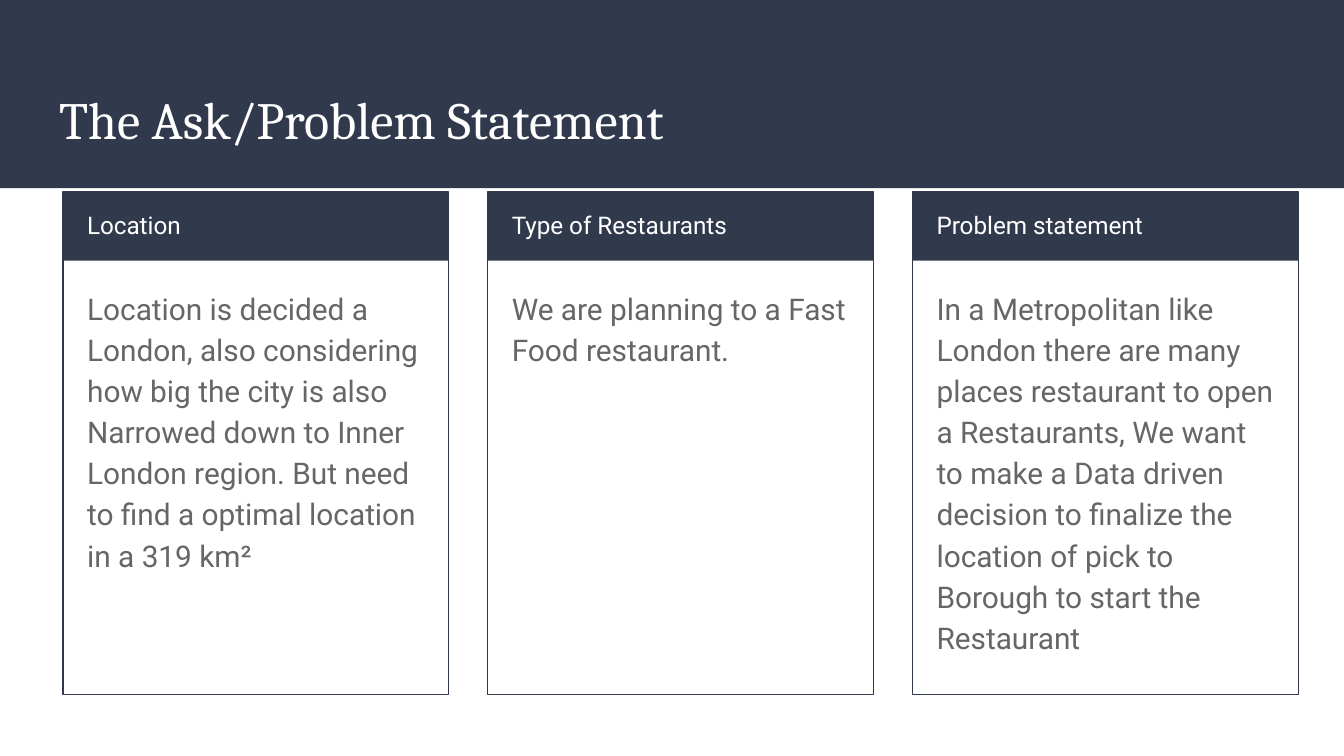
from pptx import Presentation
from pptx.dml.color import RGBColor
from pptx.enum import shapes, text
from pptx.util import Inches, Pt

NAVY = RGBColor(0x31, 0x39, 0x4D)
GREY = RGBColor(0x66, 0x66, 0x66)
WHITE = RGBColor(0xFF, 0xFF, 0xFF)

CARD_LEFT, CARD_TOP, CARD_STEP = 0.47, 1.43, 3.16
CARD_W, CARD_H, HEADER_H = 2.87, 3.74, 0.51

CARDS = [
    ("Location",
     "Location is decided a London, also considering how big the city is also "
     "Narrowed down to Inner London region. But need to find a optimal "
     "location in a 319 km²"),
    ("Type of Restaurants",
     "We are planning to a Fast Food restaurant."),
    ("Problem statement",
     "In a Metropolitan like London there are many places restaurant to open "
     "a Restaurants, We want to make a Data driven decision to finalize the "
     "location of pick to Borough to start the Restaurant"),
]


def write(sp, content, size, color, font="Roboto", spacing=1.15, after=0):
    tf = sp.text_frame
    tf.word_wrap = True
    tf.auto_size = text.MSO_AUTO_SIZE.NONE
    tf.vertical_anchor = text.MSO_ANCHOR.TOP
    tf.margin_left = tf.margin_right = Inches(0.1)
    tf.margin_top = tf.margin_bottom = Inches(0.1)
    p = tf.paragraphs[0]
    p.alignment = text.PP_ALIGN.LEFT
    p.line_spacing = spacing
    p.space_before, p.space_after = Pt(0), Pt(after)
    r = p.add_run()
    r.text = content
    r.font.name, r.font.size, r.font.color.rgb = font, Pt(size), color


def add_rect(s, x, y, w, h, fill=None, line=None):
    sp = s.shapes.add_shape(shapes.MSO_SHAPE.RECTANGLE,
                            Inches(x), Inches(y), Inches(w), Inches(h))
    sp.shadow.inherit = False
    if fill is None:
        sp.fill.background()
    else:
        sp.fill.solid()
        sp.fill.fore_color.rgb = fill
    if line is None:
        sp.line.fill.background()
    else:
        sp.line.color.rgb = line
        sp.line.width = Pt(0.75)
    return sp


def add_text(s, x, y, w, h, content, **fmt):
    box = s.shapes.add_textbox(Inches(x), Inches(y), Inches(w), Inches(h))
    write(box, content, **fmt)


def add_title(s, content):
    title = s.shapes.title
    title.left, title.top = Inches(0.34), Inches(0.55)
    title.width, title.height = Inches(9.32), Inches(0.68)
    write(title, content, size=28, color=WHITE, font="Cambria", spacing=1)


def add_band(s):
    """Full-width band, placed behind the title placeholder."""
    band = add_rect(s, 0, 0, 10, 1.4, fill=NAVY)
    s.shapes.title._element.addprevious(band._element)


def add_card(s, x, heading, body):
    add_rect(s, x, CARD_TOP, CARD_W, HEADER_H, fill=NAVY)
    add_rect(s, x, CARD_TOP, CARD_W, CARD_H, line=NAVY)
    add_text(s, x + 0.08, CARD_TOP, 2.73, 0.5, heading, size=13, color=WHITE)
    add_text(s, x + 0.08, 2.02, 2.71, 3.06, body, size=16, color=GREY, after=16)


def main():
    prs = Presentation()
    prs.slide_width = Inches(10)
    prs.slide_height = Inches(10 * 9 / 16)
    s = prs.slides.add_slide(prs.slide_layouts[5])
    add_title(s, "The Ask/Problem Statement")
    add_band(s)
    for i, (heading, body) in enumerate(CARDS):
        add_card(s, CARD_LEFT + i * CARD_STEP, heading, body)
    prs.save("out.pptx")


if __name__ == "__main__":
    main()
